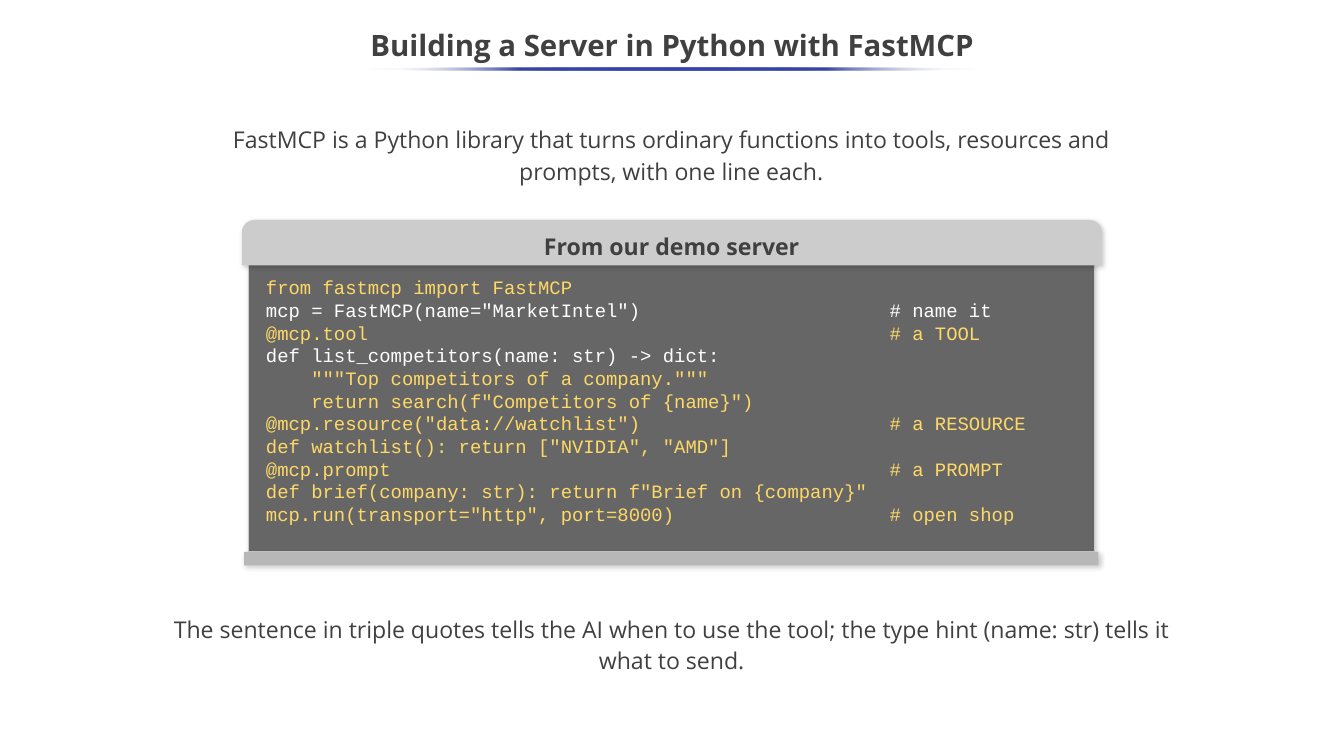
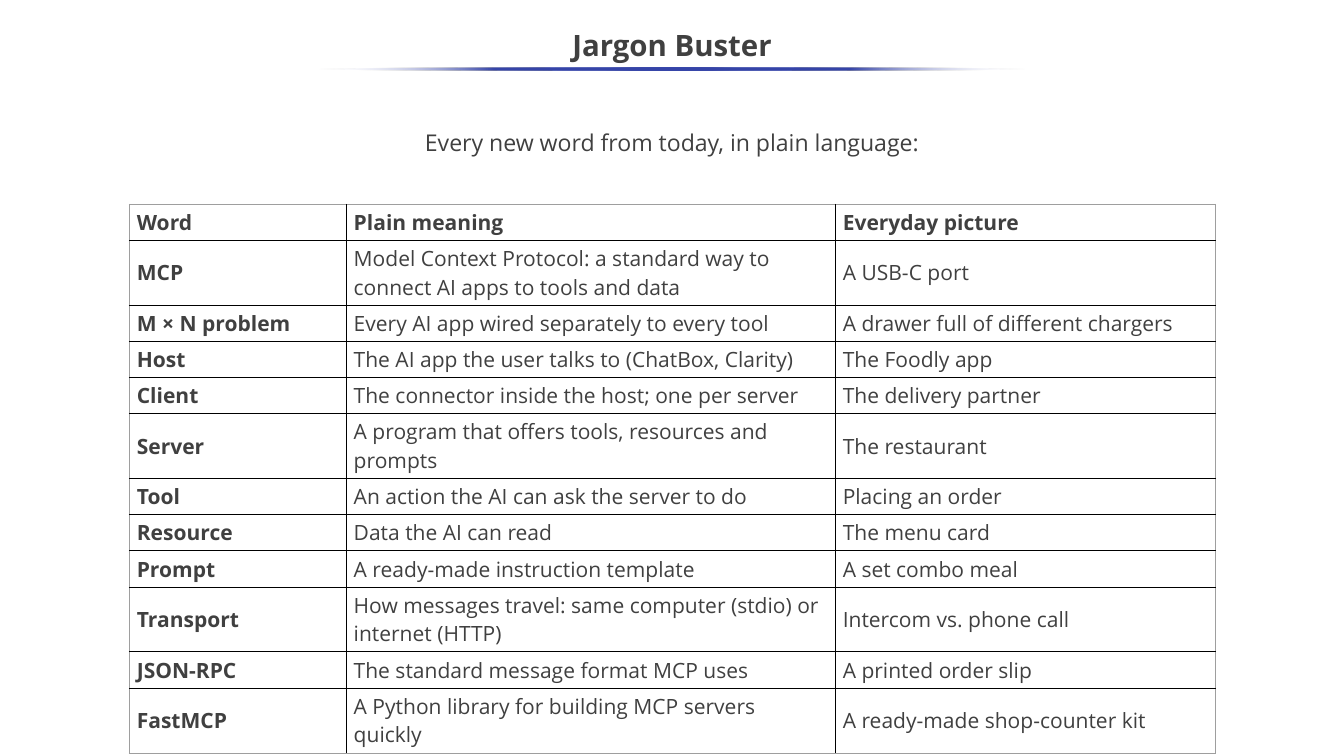
"""Build two slides on FastMCP: a code board and a glossary table."""
from lxml import etree
from pptx import Presentation
from pptx.dml.color import RGBColor
from pptx.enum.shapes import MSO_SHAPE
from pptx.enum.text import MSO_ANCHOR, MSO_AUTO_SIZE, PP_ALIGN
from pptx.oxml.ns import qn
from pptx.util import Inches, Pt

RECT, OVAL = MSO_SHAPE.RECTANGLE, MSO_SHAPE.OVAL
ROUND = MSO_SHAPE.ROUND_2_SAME_RECTANGLE
MIDDLE, TOP = MSO_ANCHOR.MIDDLE, MSO_ANCHOR.TOP
CENTER, LEFT = PP_ALIGN.CENTER, PP_ALIGN.LEFT
FIXED = MSO_AUTO_SIZE.NONE

INK = RGBColor(0x40, 0x40, 0x40)
WHITE = RGBColor(0xFF, 0xFF, 0xFF)
BLACK = RGBColor(0, 0, 0)
BLUE = RGBColor(0x36, 0x45, 0xA9)
GOLD = RGBColor(0xFF, 0xD9, 0x66)
SLATE = RGBColor(0x66, 0x66, 0x66)
SILVER = RGBColor(0xCC, 0xCC, 0xCC)
LEDGE = RGBColor(0xB7, 0xB7, 0xB7)
FRAME = RGBColor(0x9E, 0x9E, 0x9E)

SANS, MONO = "Open Sans", "Courier New"
WIDE, HIGH = 17.78, 10
HEAD = {"name": SANS, "size": Pt(28), "bold": True}
BODY = {"name": SANS, "size": Pt(22), "bold": False}
LABEL = BODY | {"bold": True}
CELL = {"name": SANS, "size": Pt(20)}
CODE = {"name": MONO, "size": Pt(18), "bold": False}
NOTE_COL = 55

LINES = [
    ("from fastmcp import FastMCP", "", GOLD),
    ('mcp = FastMCP(name="MarketIntel")', "# name it", WHITE),
    ("@mcp.tool", "# a TOOL", GOLD),
    ("def list_competitors(name: str) -> dict:", "", WHITE),
    ('    """Top competitors of a company."""', "", GOLD),
    ('    return search(f"Competitors of {name}")', "", GOLD),
    ('@mcp.resource("data://watchlist")', "# a RESOURCE", GOLD),
    ('def watchlist(): return ["NVIDIA", "AMD"]', "", GOLD),
    ("@mcp.prompt", "# a PROMPT", GOLD),
    ('def brief(company: str): return f"Brief on {company}"', "", GOLD),
    ('mcp.run(transport="http", port=8000)', "# open shop", GOLD),
]
TERMS = [
    ("Word", "Plain meaning", "Everyday picture"),
    ("MCP", "Model Context Protocol: a standard way to connect AI apps to tools and data",
     "A USB-C port"),
    ("M × N problem", "Every AI app wired separately to every tool",
     "A drawer full of different chargers"),
    ("Host", "The AI app the user talks to (ChatBox, Clarity)", "The Foodly app"),
    ("Client", "The connector inside the host; one per server", "The delivery partner"),
    ("Server", "A program that offers tools, resources and prompts", "The restaurant"),
    ("Tool", "An action the AI can ask the server to do", "Placing an order"),
    ("Resource", "Data the AI can read", "The menu card"),
    ("Prompt", "A ready-made instruction template", "A set combo meal"),
    ("Transport", "How messages travel: same computer (stdio) or internet (HTTP)",
     "Intercom vs. phone call"),
    ("JSON-RPC", "The standard message format MCP uses", "A printed order slip"),
    ("FastMCP", "A Python library for building MCP servers quickly",
     "A ready-made shop-counter kit"),
]


def style(font, form, ink):
    """Set a font's values and colour."""
    for key, val in form.items():
        setattr(font, key, val)
    font.color.rgb = ink


def setup(frame, pad, anchor=TOP):
    """Set wrap, anchor and vertical padding of a text frame."""
    form = {"word_wrap": True, "auto_size": FIXED, "vertical_anchor": anchor,
            "margin_left": Inches(0.1), "margin_right": Inches(0.1),
            "margin_top": Inches(pad), "margin_bottom": Inches(pad)}
    for key, val in form.items():
        setattr(frame, key, val)


def fill_para(para, text, form, ink=INK, align=LEFT, space=1.0):
    """Put one styled run into a paragraph."""
    para.alignment, para.line_spacing = align, space
    run = para.add_run()
    run.text = text
    style(run.font, form, ink)


def add_text(shapes, box, text, form, pad=0, space=1.15):
    """Add a centred text box."""
    frame = shapes.add_textbox(*map(Inches, box)).text_frame
    setup(frame, pad)
    fill_para(frame.paragraphs[0], text, form, align=CENTER, space=space)


def add_shape(shapes, kind, box):
    """Add a plain shape with neither line nor shadow."""
    shape = shapes.add_shape(kind, *map(Inches, box))
    shape.shadow.inherit = False
    shape.line.fill.background()
    return shape


def add_color(node, color, alpha=None):
    """Add a colour with optional opacity percent to an XML node."""
    clr = etree.SubElement(node, qn("a:srgbClr"), val=str(color))
    if alpha is not None:
        etree.SubElement(clr, qn("a:alpha"), val=str(alpha * 1000))


def add_panel(shapes, kind, box, color):
    """Add a filled shape with a soft shadow."""
    shape = add_shape(shapes, kind, box)
    shape.fill.solid()
    shape.fill.fore_color.rgb = color
    list_ = shape._element.spPr.find(qn("a:effectLst"))
    glow = etree.SubElement(list_, qn("a:outerShdw"), blurRad=str(Pt(4.5)),
                            dist=str(Pt(1.5)), dir=str(47 * 60000),
                            algn="bl", rotWithShape="0")
    add_color(glow, BLACK, 20)
    return shape


def add_rule(slide, width):
    """Add a centred blue rule that fades out at both ends."""
    rule = add_shape(slide.shapes, OVAL, ((WIDE - width) / 2, 0.89, width, 0.04))
    rule.fill.gradient()
    rule.fill.gradient_angle = 180
    stops = rule._element.spPr.find(".//" + qn("a:gsLst"))
    for stop in list(stops):
        stops.remove(stop)
    for pos in range(0, 101, 25):
        stop = etree.SubElement(stops, qn("a:gs"), pos=str(pos * 1000))
        if pos in (0, 100):
            add_color(stop, WHITE, 0)
        else:
            add_color(stop, BLUE)


def add_slide(deck, text, *rules):
    """Add a slide with its title and rules."""
    slide = deck.slides.add_slide(deck.slide_layouts[5])
    title = slide.shapes.title
    title.left, title.top, title.width, title.height = map(Inches, (0, 0.25, WIDE, 0.75))
    setup(title.text_frame, 0.05, MIDDLE)
    fill_para(title.text_frame.paragraphs[0], text, HEAD, align=CENTER, space=0.9)
    for width in rules:
        add_rule(slide, width)
    return slide


def add_board(slide, box):
    """Add the code board: screen, cap, ledge, label and code."""
    x, y, w, h = box
    shapes = slide.shapes.add_group_shape().shapes
    screen = add_panel(shapes, RECT, (x + 0.09, y + 0.59, w - 0.19, h - 0.78), SLATE)
    screen.line.color.rgb = SILVER
    screen.line.width = Pt(0.75)
    cap = add_panel(shapes, ROUND, (x, y, w, 0.6), SILVER)
    cap.adjustments[0], cap.adjustments[1] = 0.275, 0
    add_panel(shapes, RECT, (x + 0.03, y + h - 0.18, w - 0.08, 0.18), LEDGE)
    add_text(shapes, (x + 2.85, y + 0.11, w - 5.71, 0.43), "From our demo server",
             LABEL, 0.05, 1.0)
    spot = (x + 0.22, y + 0.64, w - 0.48, h - 1.27)
    frame = shapes.add_textbox(*map(Inches, spot)).text_frame
    setup(frame, 0.1)
    for i, (code, note, ink) in enumerate(LINES):
        para = frame.add_paragraph() if i else frame.paragraphs[0]
        fill_para(para, code.ljust(NOTE_COL) + note if note else code, CODE, ink)


def set_edges(cell, edges):
    """Draw a cell's borders, outer ones lighter than inner ones."""
    props = cell._tc.get_or_add_tcPr()
    for i, (side, outer) in enumerate(edges.items()):
        line = etree.Element(qn("a:ln" + side), w=str(Pt(0.75 if outer else 1)))
        add_color(etree.SubElement(line, qn("a:solidFill")), FRAME if outer else BLACK)
        props.insert(i, line)


def add_terms(slide, box):
    """Add the glossary table."""
    rows, cols = len(TERMS), len(TERMS[0])
    table = slide.shapes.add_table(rows, cols, *map(Inches, box)).table
    table.first_row = table.horz_banding = False
    for col, width in zip(table.columns, (2.87, 6.47, 5.03)):
        col.width = Inches(width)
    for r, words in enumerate(TERMS):
        for c, word in enumerate(words):
            cell = table.cell(r, c)
            cell.fill.background()
            cell.vertical_anchor = MIDDLE
            bold = r == 0 or c == 0
            fill_para(cell.text_frame.paragraphs[0], word, CELL | {"bold": bold})
            set_edges(cell, {"L": c == 0, "R": c == cols - 1,
                             "T": r == 0, "B": r == rows - 1})


def code_slide(deck):
    """Build the slide on writing a server."""
    slide = add_slide(deck, "Building a Server in Python with FastMCP", 8.09)
    add_text(slide.shapes, (2.39, 1.61, 12.98, 0.91),
             "FastMCP is a Python library that turns ordinary functions into tools, "
             "resources and prompts, with one line each.", BODY)
    add_text(slide.shapes, (2.13, 8.08, 13.51, 0.98),
             "The sentence in triple quotes tells the AI when to use the tool; "
             "the type hint (name: str) tells it what to send.", BODY)
    add_board(slide, (3.2, 2.91, 11.38, 4.57))


def terms_slide(deck):
    """Build the glossary slide."""
    slide = add_slide(deck, "Jargon Buster", 2.11, 9.37)
    add_text(slide.shapes, (1.4, 1.65, 14.98, 0.99),
             "Every new word from today, in plain language:", BODY)
    add_terms(slide, (1.71, 2.7, 14.37, 0.42 * len(TERMS)))


def main():
    """Build and save the deck."""
    deck = Presentation()
    deck.slide_width, deck.slide_height = Inches(WIDE), Inches(HIGH)
    code_slide(deck)
    terms_slide(deck)
    deck.save("out.pptx")


if __name__ == "__main__":
    main()
